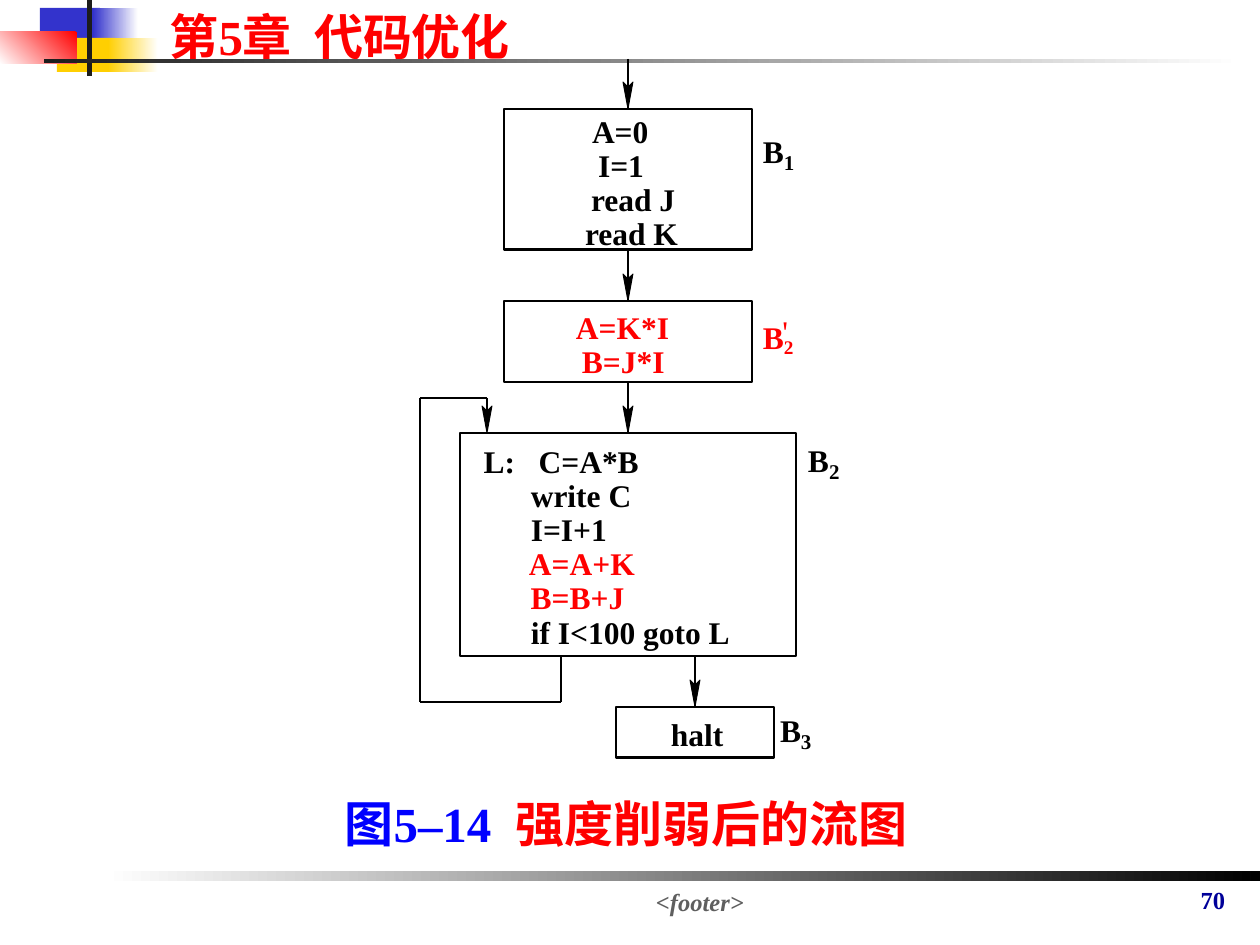
from itertools import pairwise

from lxml import etree
from pptx import Presentation
from pptx import util as u
from pptx.dml.color import RGBColor
from pptx.enum import shapes, text
from pptx.oxml.ns import qn

BLACK = RGBColor(0x00, 0x00, 0x00)
WHITE = RGBColor(0xFF, 0xFF, 0xFF)
RED = RGBColor(0xFF, 0x00, 0x00)
BLUE = RGBColor(0x00, 0x00, 0xFF)
NAVY = RGBColor(0x00, 0x00, 0x99)
GREY = RGBColor(0x5F, 0x5F, 0x5F)
DARK = RGBColor(0x1C, 0x1C, 0x1C)
IRIS = RGBColor(0x33, 0x33, 0xCC)
GOLD = RGBColor(0xFF, 0xCF, 0x01)
SCALE = 914400 / 126


def px(num):
    return u.Emu(round(num * SCALE))


def write(para, words, size=18, color=BLACK, bold=True, slant=False, face="Times New Roman"):
    run = para.add_run()
    run.text = words
    font = run.font
    font.name, font.size, font.bold, font.italic = face, u.Pt(size), bold, slant
    font.color.rgb = color


class Chart:
    wide = 1.62
    thin = 0.88
    edge = 0.5
    slack = 12

    def __init__(self, slide):
        self.slide = slide
        self.shapes = slide.shapes

    def title(self, words, *box, **form):
        shape = self.shapes.title
        shape.left, shape.top, shape.width, shape.height = map(px, box)
        frame = shape.text_frame
        frame.auto_size = text.MSO_AUTO_SIZE.NONE
        frame.vertical_anchor = text.MSO_ANCHOR.TOP
        para = frame.paragraphs[0]
        para.alignment = text.PP_ALIGN.LEFT
        write(para, words, **form)

    def label(self, parts, *box, center=True):
        frame = self.shapes.add_textbox(*map(px, box)).text_frame
        frame.word_wrap = True
        para = frame.paragraphs[0]
        if center:
            para.alignment = text.PP_ALIGN.CENTER
        for words, form in parts:
            write(para, words, **form)

    def tight(self, words, x, y, width, **form):
        tall = round(form.get("size", 18) * 2.1)
        box = self.shapes.add_textbox(px(x), px(y), px(width + self.slack), px(tall))
        frame = box.text_frame
        frame.margin_left = frame.margin_right = frame.margin_top = frame.margin_bottom = 0
        frame.word_wrap = True
        write(frame.paragraphs[0], words, **form)

    def code(self, top, rows):
        for i, (words, x, width, color) in enumerate(rows):
            self.tight(words, x, top + i * 171 // 5, width, color=color)

    def name(self, num, x, y, color=BLACK, size=12, drop=18):
        self.tight("B", x, y, 21, color=color)
        self.tight(num, x + 21, y + drop, 10, color=color, size=size)

    def bar(self, color, *box, fade=None, angle=180):
        shape = self.shapes.add_shape(shapes.MSO_SHAPE.RECTANGLE, *map(px, box))
        shape.shadow.inherit = False
        shape.line.fill.background()
        if fade is None:
            shape.fill.solid()
            shape.fill.fore_color.rgb = color
        else:
            shape.fill.gradient()
            shape.fill.gradient_angle = angle
            for stop, tint in zip(shape.fill.gradient_stops, (color, fade)):
                stop.color.rgb = tint
        return shape

    def block(self, *box):
        shape = self.bar(WHITE, *box)
        shape.line.color.rgb = BLACK
        shape.line.width = u.Pt(self.wide)
        return shape

    def line(self, start, end):
        link = self.shapes.add_connector(shapes.MSO_CONNECTOR.STRAIGHT, *map(px, start + end))
        link.line.color.rgb = BLACK
        link.line.width = u.Pt(self.thin)
        etree.SubElement(link.element.spPr, qn("a:effectLst"))
        return link

    def arrow(self, x, top, tip, source=None, target=None):
        link = self.line((x, top), (x, tip - 5))
        if source is not None:
            link.begin_connect(source, 2)
        if target is not None:
            link.end_connect(target, 0)
        path = self.shapes.build_freeform(x + 5, tip - 27, SCALE)
        path.add_line_segments([(x, tip - 22), (x - 5, tip - 27), (x, tip)], close=True)
        head = path.convert_to_shape()
        head.shadow.inherit = False
        head.fill.solid()
        head.fill.fore_color.rgb = BLACK
        head.line.color.rgb = BLACK
        head.line.width = u.Pt(self.edge)


def main():
    deck = Presentation()
    deck.slide_width, deck.slide_height = px(1260), px(945)
    flow = Chart(deck.slides.add_slide(deck.slide_layouts[5]))

    flow.bar(BLACK, 105, 871, 1155, 10, fade=WHITE)
    flow.bar(IRIS, 40, 8, 60, 34)
    flow.bar(WHITE, 93, 8, 45, 34, fade=IRIS)
    flow.bar(GOLD, 57, 38, 58, 34)
    flow.bar(WHITE, 108, 38, 50, 34, fade=GOLD)
    flow.bar(RED, 0, 32, 77, 32, fade=WHITE, angle=225)
    flow.bar(DARK, 87, 0, 5, 76)
    flow.bar(WHITE, 44, 59, 1198, 4, fade=DARK)

    flow.title("第5章  代码优化", 157, 0, 400, 72, size=28, color=RED)
    flow.label([("70", dict(size=14, color=NAVY))], 1176, 879, 74, 43)
    flow.label([("<footer>", dict(size=14, color=GREY, slant=True))], 233, 881, 934, 33)
    flow.label([("图5–14  ", dict(size=28, color=BLUE)),
                ("强度削弱后的流图", dict(size=28, color=RED))], 315, 787, 622, 72)

    first = flow.block(504, 109, 248, 141)
    prime = flow.block(504, 301, 248, 81)
    loop = flow.block(460, 433, 336, 223)
    halt = flow.block(616, 707, 158, 51)

    flow.code(112, [("A=0", 592, 57, BLACK), ("I=1", 598, 47, BLACK),
                    ("read J", 591, 84, BLACK), ("read K", 585, 93, BLACK)])
    flow.code(308, [("A=K*I", 576, 93, RED), ("B=J*I", 582, 83, RED)])
    flow.code(442, [("   L:   C=A*B", 460, 179, BLACK),
                    ("         write C", 460, 171, BLACK),
                    ("         I=I+1", 460, 147, BLACK),
                    ("         A=A+K", 460, 176, RED),
                    ("         B=B+J", 460, 165, RED),
                    ("         if I<100 goto L", 460, 270, BLACK)])
    flow.code(715, [("halt", 671, 53, BLACK)])

    flow.name("1", 763, 132)
    flow.name("2", 763, 318, color=RED, size=11, drop=17)
    flow.name("2", 808, 441)
    flow.name("3", 780, 711)
    flow.label([("'", dict(color=RED, bold=False))], 770, 306, 35, 50, center=False)

    flow.arrow(628, 59, 109, target=first)
    flow.arrow(628, 250, 301, first, prime)
    flow.arrow(628, 382, 433, prime, loop)
    flow.arrow(695, 656, 707, target=halt)
    for start, end in pairwise([(561, 656), (561, 702), (420, 702), (420, 398), (487, 398)]):
        flow.line(start, end)
    flow.arrow(487, 398, 433)

    deck.save("out.pptx")


if __name__ == "__main__":
    main()
